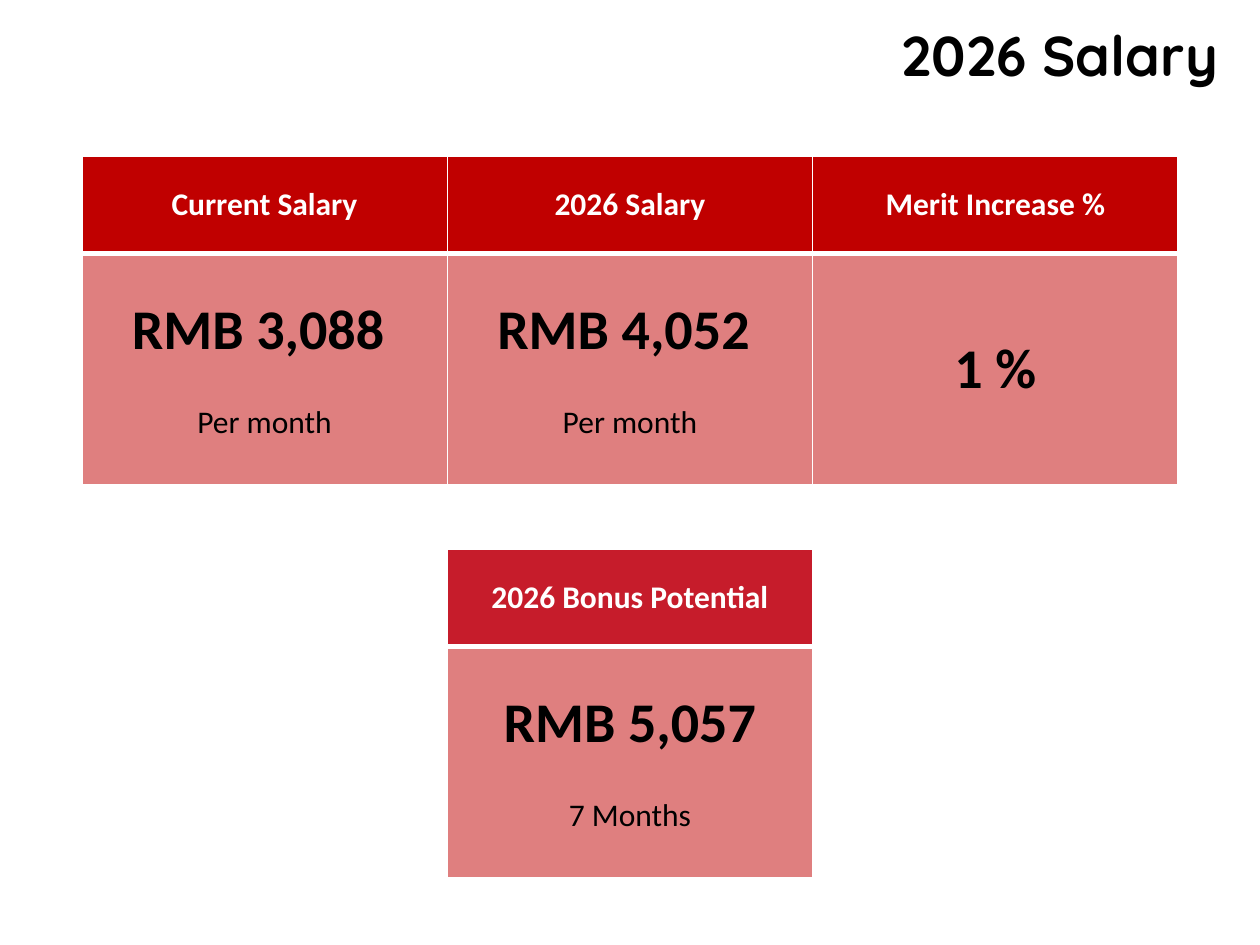
from lxml.etree import SubElement
from pptx import Presentation
from pptx.dml.color import RGBColor
from pptx.enum.text import MSO_ANCHOR, PP_ALIGN
from pptx.oxml.ns import qn
from pptx.util import Inches, Pt

COLORS = {"red": "C00000", "crimson": "C61C2B", "pink": "DF7F7F",
          "white": "FFFFFF", "black": "000000"}
TITLE = "2026 Salary"
# column, row, heading, heading fill, amount, note, body fill, body opacity in %
CARDS = [
    (0, 0, "Current Salary", "red", "RMB 3,088 ", "Per month", "red", 50),
    (1, 0, "2026 Salary", "red", "RMB 4,052 ", "Per month", "red", 50),
    (2, 0, "Merit Increase %", "red", "1 %", None, "red", 50),
    (1, 1, "2026 Bonus Potential", "crimson", "RMB 5,057", "7 Months", "pink", 100),
]
SLIDE_WIDTH, SLIDE_HEIGHT = 10, 7.5
CARD_WIDTH, HEAD_HEIGHT, BODY_HEIGHT = 2.9, 0.77, 1.84
GRID_LEFT = (SLIDE_WIDTH - 3 * CARD_WIDTH) / 2
GRID_TOP, ROW_STEP = 1.24, 3.12


def add_span(para, text, size, color, bold=True, font="Calibri"):
    span = para.add_run()
    span.text = text
    span.font.name, span.font.size, span.font.bold = font, Pt(size), bold
    span.font.color.rgb = RGBColor.from_string(COLORS[color])


def style_cell(cell, fill, opacity=100, bottom_width=1):
    cell.vertical_anchor = MSO_ANCHOR.MIDDLE
    properties = cell._tc.get_or_add_tcPr()
    for side, width in zip("LRTB", (1, 1, 1, bottom_width)):
        line = SubElement(properties, qn(f"a:ln{side}"), w=str(Pt(width)))
        solid = SubElement(line, qn("a:solidFill"))
        SubElement(solid, qn("a:srgbClr"), val=COLORS["white"])
    cell.fill.solid()
    cell.fill.fore_color.rgb = RGBColor.from_string(COLORS[fill])
    if opacity < 100:
        color = properties.find(qn("a:solidFill")).find(qn("a:srgbClr"))
        SubElement(color, qn("a:alpha"), val=str(opacity * 1000))


def add_card(page, column, row, heading, head_fill, amount, note, body_fill, opacity):
    table = page.shapes.add_table(
        2, 1, Inches(GRID_LEFT + column * CARD_WIDTH), Inches(GRID_TOP + row * ROW_STEP),
        Inches(CARD_WIDTH), Inches(HEAD_HEIGHT + BODY_HEIGHT)).table
    table.rows[0].height, table.rows[1].height = Inches(HEAD_HEIGHT), Inches(BODY_HEIGHT)
    head, body = table.cell(0, 0), table.cell(1, 0)
    style_cell(head, head_fill, bottom_width=3)
    style_cell(body, body_fill, opacity)
    # The shared edge keeps the heading's thick rule
    body._tc.tcPr.find(qn("a:lnT")).set("w", str(Pt(3)))

    add_span(head.text_frame.paragraphs[0], heading, 18, "white")
    add_span(body.text_frame.paragraphs[0], amount, 32, "black")
    if note:
        para = body.text_frame.add_paragraph()
        para.space_before = Pt(22)
        add_span(para, note, 18, "black", bold=False)
    for cell in (head, body):
        for para in cell.text_frame.paragraphs:
            para.alignment = PP_ALIGN.CENTER


def main():
    deck = Presentation()
    deck.slide_width, deck.slide_height = Inches(SLIDE_WIDTH), Inches(SLIDE_HEIGHT)
    page = deck.slides.add_slide(deck.slide_layouts[5])

    title = page.shapes.title
    title.left, title.top = Inches(3.51), Inches(0.11)
    title.width, title.height = Inches(6.26), Inches(1.11)
    title.text_frame.vertical_anchor = MSO_ANCHOR.TOP
    para = title.text_frame.paragraphs[0]
    para.alignment = PP_ALIGN.RIGHT
    add_span(para, TITLE, 32, "black", font="Quicksand")

    for card in CARDS:
        add_card(page, *card)
    deck.save("out.pptx")


if __name__ == "__main__":
    main()
